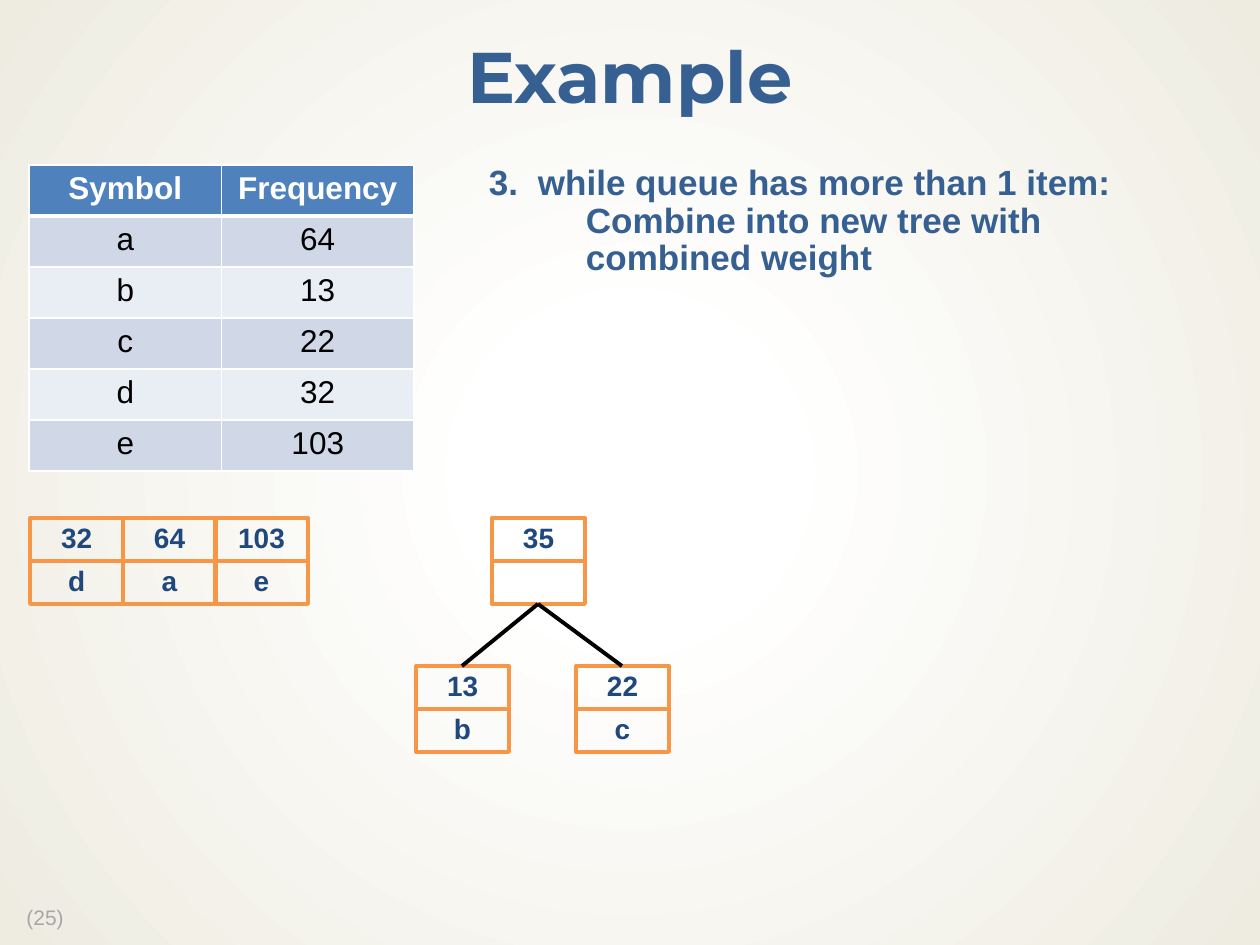
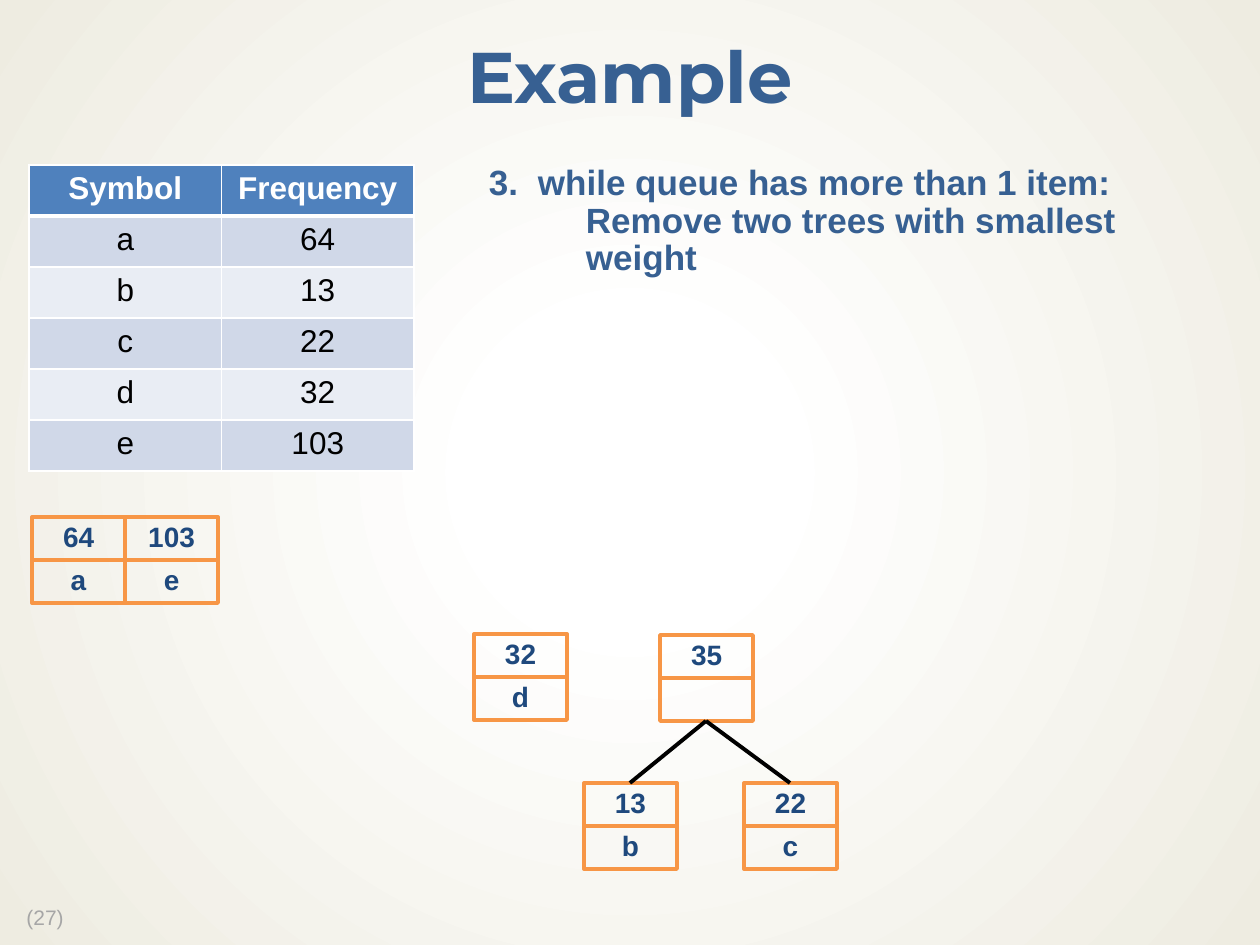
from dataclasses import dataclass
from lxml.etree import SubElement
from pptx import Presentation
from pptx.dml.color import RGBColor
from pptx.enum.shapes import MSO_CONNECTOR, MSO_SHAPE
from pptx.enum.text import MSO_ANCHOR, PP_ALIGN
from pptx.oxml.ns import qn
from pptx.util import Inches, Pt

PIXEL = 7257  # EMU in one pixel at 126 pixels to the inch


@dataclass(frozen=True)
class Theme:
    """Colours, fonts and type sizes shared by the slides."""
    heading: str = "376092"
    node_text: str = "1F497D"
    node_line: str = "F79646"
    edge: str = "000000"
    table_text: str = "000000"
    table_head: str = "4F81BD"
    bands: tuple = ("D0D8E8", "E9EDF4")
    white: str = "FFFFFF"
    backdrop: str = "EEECE1"
    footer: str = "A6A6A6"
    title_font: str = "Montserrat"
    body_font: str = "Arial"
    title_size: int = 41
    step_size: int = 20
    table_size: int = 18
    node_size: int = 16
    footer_size: int = 12
    line_width: float = 2.25


THEME = Theme()
NODE_WIDTH, CELL_HEIGHT = 93, 43
CHILD_DROP = 148
CHILDREN = [(-76, "13", "b"), (84, "22", "c")]  # shift from the root, weight, symbol
FREQUENCIES = [("Symbol", "Frequency"), ("a", "64"), ("b", "13"), ("c", "22"),
               ("d", "32"), ("e", "103")]
STEP = "while queue has more than 1 item:"
PAGES = [
    {"number": "(25)", "action": "Combine into new tree with\vcombined weight",
     "nodes": [(30, 518, "32", "d"), (123, 518, "64", "a"), (215, 518, "103", "e")],
     "root": (492, 518)},
    {"number": "(27)", "action": "Remove two trees with smallest\vweight",
     "nodes": [(32, 517, "64", "a"), (125, 517, "103", "e"), (474, 634, "32", "d")],
     "root": (660, 635)},
]


def write(para, text, size, color, bold=True, name=THEME.body_font,
          align=PP_ALIGN.CENTER, spacing=0.9):
    """Put text in a paragraph and format it."""
    para.text = text
    para.alignment, para.line_spacing = align, spacing
    para.space_before = Pt(0)
    for span in para.runs:
        for key, value in {"size": Pt(size), "bold": bold, "name": name}.items():
            setattr(span.font, key, value)
        span.font.color.rgb = RGBColor.from_string(color)


def add_node(page, left, top, weight, symbol):
    """Draw a tree node: a weight cell above a symbol cell."""
    for row, label in enumerate((weight, symbol)):
        cell = page.shapes.add_shape(
            MSO_SHAPE.RECTANGLE, left * PIXEL, (top + row * CELL_HEIGHT) * PIXEL,
            NODE_WIDTH * PIXEL, CELL_HEIGHT * PIXEL)
        cell.shadow.inherit = False
        cell.fill.background()
        cell.line.color.rgb = RGBColor.from_string(THEME.node_line)
        cell.line.width = Pt(THEME.line_width)
        if label:
            write(cell.text_frame.paragraphs[0], label, THEME.node_size, THEME.node_text)


deck = Presentation()
deck.slide_width, deck.slide_height = Inches(10), Inches(7.5)

# Radial backdrop on the master
backdrop = deck.slide_master.background.fill
backdrop.gradient()
for stop, position, color in zip(backdrop.gradient_stops, (0.18, 1),
                                 (THEME.white, THEME.backdrop)):
    stop.position = position
    stop.color.rgb = RGBColor.from_string(color)
gradient = next(deck.slide_master.element.iter(qn("a:gradFill")))
gradient.remove(gradient.find(qn("a:lin")))
circle = SubElement(gradient, qn("a:path"), {"path": "circle"})
SubElement(circle, qn("a:fillToRect"), {side: "50000" for side in "ltrb"})

for content in PAGES:
    page = deck.slides.add_slide(deck.slide_layouts[1])
    title, body = page.shapes.title, page.placeholders[1]
    number = page.shapes.add_textbox(14 * PIXEL, 901 * PIXEL, 70 * PIXEL, 35 * PIXEL)
    for box, bounds in ((title, (0, 21, 1260, 118)), (body, (474, 157, 738, 209))):
        for key, value in zip(("left", "top", "width", "height"), bounds):
            setattr(box, key, value * PIXEL)
        frame = box.text_frame
        frame.margin_left = frame.margin_right = 15 * PIXEL
        frame.margin_top = frame.margin_bottom = 8 * PIXEL

    title.text_frame.vertical_anchor = MSO_ANCHOR.MIDDLE
    write(title.text_frame.paragraphs[0], "Example", THEME.title_size, THEME.heading,
          name=THEME.title_font)
    write(number.text_frame.paragraphs[0], content["number"], THEME.footer_size,
          THEME.footer, bold=False, align=PP_ALIGN.LEFT)

    # Numbered step with its action indented below
    frame = body.text_frame
    frame.vertical_anchor = MSO_ANCHOR.TOP
    for para, text, margin, hanging, bullet, options in (
            (frame.paragraphs[0], STEP, 49, -49, "a:buAutoNum",
             {"type": "arabicPeriod", "startAt": "3"}),
            (frame.add_paragraph(), content["action"], 97, 0, "a:buNone", {})):
        write(para, text, THEME.step_size, THEME.heading, align=PP_ALIGN.LEFT)
        properties = para._p.get_or_add_pPr()
        properties.set("marL", str(margin * PIXEL))
        properties.set("indent", str(hanging * PIXEL))
        SubElement(properties, qn(bullet), options)

    # Symbol frequencies
    table = page.shapes.add_table(len(FREQUENCIES), 2, 29 * PIXEL, 165 * PIXEL,
                                  385 * PIXEL, 306 * PIXEL).table
    for row, record in enumerate(FREQUENCIES):
        head = row == 0
        for column, text in enumerate(record):
            cell = table.cell(row, column)
            write(cell.text_frame.paragraphs[0], text, THEME.table_size,
                  THEME.white if head else THEME.table_text, bold=head, spacing=1.0)
            properties = cell._tc.get_or_add_tcPr()
            for side in ("lnL", "lnR", "lnT", "lnB"):
                thick = (head and side == "lnB") or (row == 1 and side == "lnT")
                border = SubElement(properties, qn("a:" + side),
                                    {"w": str(Pt(3 if thick else 1))})
                paint = SubElement(border, qn("a:solidFill"))
                SubElement(paint, qn("a:srgbClr"), {"val": THEME.white})
            cell.fill.solid()
            cell.fill.fore_color.rgb = RGBColor.from_string(
                THEME.table_head if head else THEME.bands[(row - 1) % 2])

    # Queue and combined tree
    for node in content["nodes"]:
        add_node(page, *node)
    left, top = content["root"]
    add_node(page, left, top, "35", "")
    middle = left + NODE_WIDTH // 2
    for shift, weight, symbol in CHILDREN:
        add_node(page, left + shift, top + CHILD_DROP, weight, symbol)
        edge = page.shapes.add_connector(
            MSO_CONNECTOR.STRAIGHT, middle * PIXEL, (top + 2 * CELL_HEIGHT) * PIXEL,
            (middle + shift) * PIXEL, (top + CHILD_DROP) * PIXEL)
        edge.line.color.rgb = RGBColor.from_string(THEME.edge)
        edge.line.width = Pt(THEME.line_width)
        SubElement(edge._element.spPr, qn("a:effectLst"))

deck.save("out.pptx")
